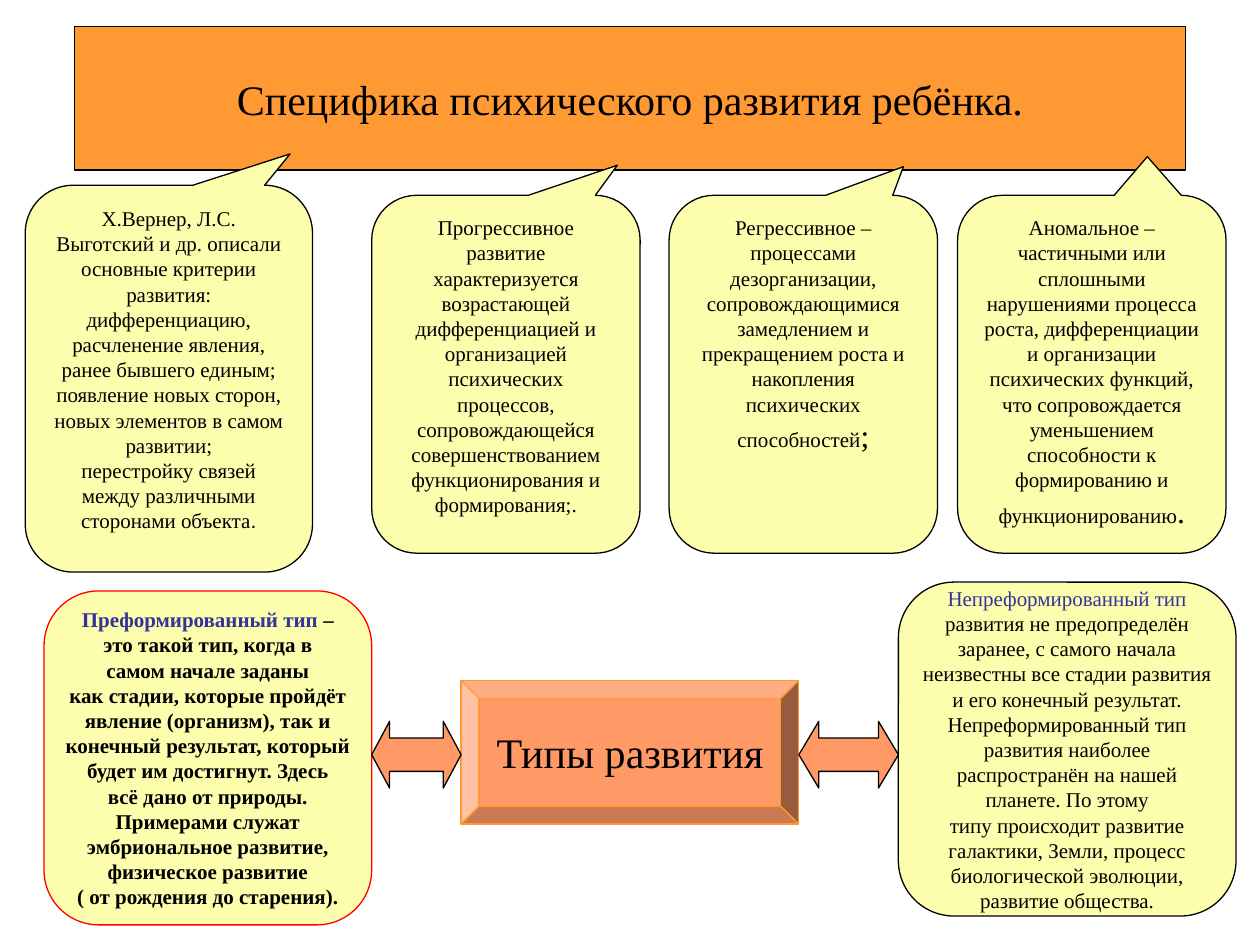
import pptx
import pptx.util
import pptx.dml.color
import pptx.enum.shapes
import pptx.enum.text
import pptx.oxml
from dataclasses import dataclass
from pptx.util import Inches

SHAPE = pptx.enum.shapes.MSO_SHAPE
ANCHOR = pptx.enum.text.MSO_ANCHOR


@dataclass(frozen=True)
class Theme:
    font: str = "Times New Roman"
    heading: int = 24
    mark: int = 18
    body: int = 12
    orange: str = "FF9933"
    salmon: str = "FF9966"
    cream: str = "FCFEAE"
    ink: str = "000000"
    accent: str = "333399"
    red: str = "FF0000"
    line: float = 0.75


T = Theme()

CALLOUTS = [
    ((0.2, 1.47, 2.28, 3.07), (-0.422, 0.581), [
        ["Х.Вернер, Л.С. Выготский и др. описали основные критерии развития:"],
        ["дифференциацию, расчленение явления, ранее бывшего единым;"],
        ["появление новых сторон, новых элементов в самом развитии;"],
        ["перестройку связей между различными сторонами объекта", (".", {"name": "Arial"})]]),
    ((2.95, 1.55, 2.13, 2.84), (-0.415, 0.584), [
        ["Прогрессивное развитие характеризуется возрастающей дифференциацией и организацией "
         "психических процессов, сопровождающейся совершенствованием функционирования и "
         "формирования;."]]),
    ((5.31, 1.55, 2.13, 2.84), (-0.373, 0.58), [
        ["Регрессивное – процессами дезорганизации, сопровождающимися замедлением и прекращением "
         "роста и накопления психических способностей", (";", {"size": T.mark})]]),
    ((7.6, 1.55, 2.13, 2.84), (-0.207, 0.608), [
        ["Аномальное – частичными или сплошными нарушениями процесса роста, дифференциации и "
         "организации психических функций, что сопровождается уменьшением способности к "
         "формированию и функционированию", (".", {"size": T.mark})]]),
]

PREFORMED = [
    [("Преформированный тип", {"color": T.accent}), " –"],
    ["это такой тип, когда в"],
    ["самом начале заданы"],
    ["как стадии, которые пройдёт"],
    ["явление (организм), так и"],
    ["конечный результат, который"],
    ["будет им достигнут. Здесь"],
    ["всё дано от природы."],
    ["Примерами служат"],
    ["эмбриональное развитие,"],
    ["физическое развитие"],
    ["( от рождения до старения)."],
]

UNFORMED = [
    [("Непреформированный тип", {"color": T.accent})],
    ["развития не предопределён"],
    ["заранее, с самого начала"],
    ["неизвестны все стадии развития"],
    ["и его конечный результат."],
    ["Непреформированный тип"],
    ["развития наиболее"],
    ["распространён на нашей"],
    ["планете. По этому"],
    ["типу происходит развитие"],
    ["галактики, Земли, процесс"],
    ["биологической эволюции,"],
    ["развитие общества."],
]


def rgb(value):
    return pptx.dml.color.RGBColor.from_string(value)


def set_all(target, values):
    for name, value in values.items():
        setattr(target, name, value)


def paint(sp, fill, line):
    sp.fill.solid()
    sp.fill.fore_color.rgb = rgb(fill)
    sp.line.color.rgb = rgb(line)
    sp.line.width = pptx.util.Pt(T.line)


def add_box(s, kind, box, fill, line=T.ink):
    sp = s.shapes.add_shape(kind, *map(Inches, box))
    sp.shadow.inherit = False
    paint(sp, fill, line)
    return sp


def write(sp, paragraphs, wrap=False, anchor=ANCHOR.MIDDLE, **base):
    tf = sp.text_frame
    set_all(tf, {"word_wrap": wrap, "vertical_anchor": anchor,
                 "auto_size": pptx.enum.text.MSO_AUTO_SIZE.NONE})
    for i, runs in enumerate(paragraphs):
        p = tf.add_paragraph() if i else tf.paragraphs[0]
        p.alignment = pptx.enum.text.PP_ALIGN.CENTER
        for item in runs:
            text, own = (item, {}) if isinstance(item, str) else item
            look = {"name": T.font, "size": T.body, "color": T.ink, **base, **own}
            r = p.add_run()
            r.text = text
            r.font.color.rgb = rgb(look.pop("color"))
            look["size"] = pptx.util.Pt(look["size"])
            set_all(r.font, look)


def add_title(s, box):
    sp = s.shapes.title
    set_all(sp, dict(zip(("left", "top", "width", "height"), map(Inches, box))))
    ns = pptx.oxml.ns.nsdecls("a")
    sp.element.spPr.append(pptx.oxml.parse_xml(
        f'<a:prstGeom {ns} prst="bevel"><a:avLst/></a:prstGeom>'))
    paint(sp, T.orange, T.ink)
    write(sp, [["Специфика психического развития ребёнка."]], size=T.heading)


def add_callout(s, box, tip, paragraphs):
    sp = add_box(s, SHAPE.ROUNDED_RECTANGULAR_CALLOUT, box, T.cream)
    sp.rotation = 180
    sp.adjustments[0], sp.adjustments[1] = tip
    write(sp, paragraphs, wrap=True, anchor=ANCHOR.TOP)
    sp.text_frame._txBody.bodyPr.set("rot", str(180 * 60000))


def add_type_card(s, box, paragraphs, line=T.ink, **base):
    sp = add_box(s, SHAPE.ROUNDED_RECTANGLE, box, T.cream, line)
    write(sp, paragraphs, **base)


def add_hub(s, box, left_edge, right_edge):
    x, y, w, h = box
    sp = add_box(s, SHAPE.BEVEL, box, T.salmon, T.orange)
    write(sp, [["Типы развития"]], size=T.heading)
    arrow_h = 0.53
    for start, end in ((left_edge, x), (x + w, right_edge)):
        arrow_box = (start, y + (h - arrow_h) / 2 + 0.02, end - start, arrow_h)
        arrow = add_box(s, SHAPE.LEFT_RIGHT_ARROW, arrow_box, T.salmon)
        arrow.adjustments[1] = 0.2 * (end - start) / arrow_h


def main():
    prs = pptx.Presentation()
    set_all(prs, {"slide_width": Inches(10), "slide_height": Inches(7.5)})
    s = prs.slides.add_slide(prs.slide_layouts[5])
    add_title(s, (0.59, 0.21, 8.82, 1.14))
    for callout in CALLOUTS:
        add_callout(s, *callout)
    add_type_card(s, (0.35, 4.69, 2.6, 2.65), PREFORMED, T.red, bold=True)
    add_type_card(s, (7.13, 4.62, 2.68, 2.65), UNFORMED)
    add_hub(s, (3.66, 5.4, 2.68, 1.14), 2.95, 7.13)
    prs.save("out.pptx")


if __name__ == "__main__":
    main()
